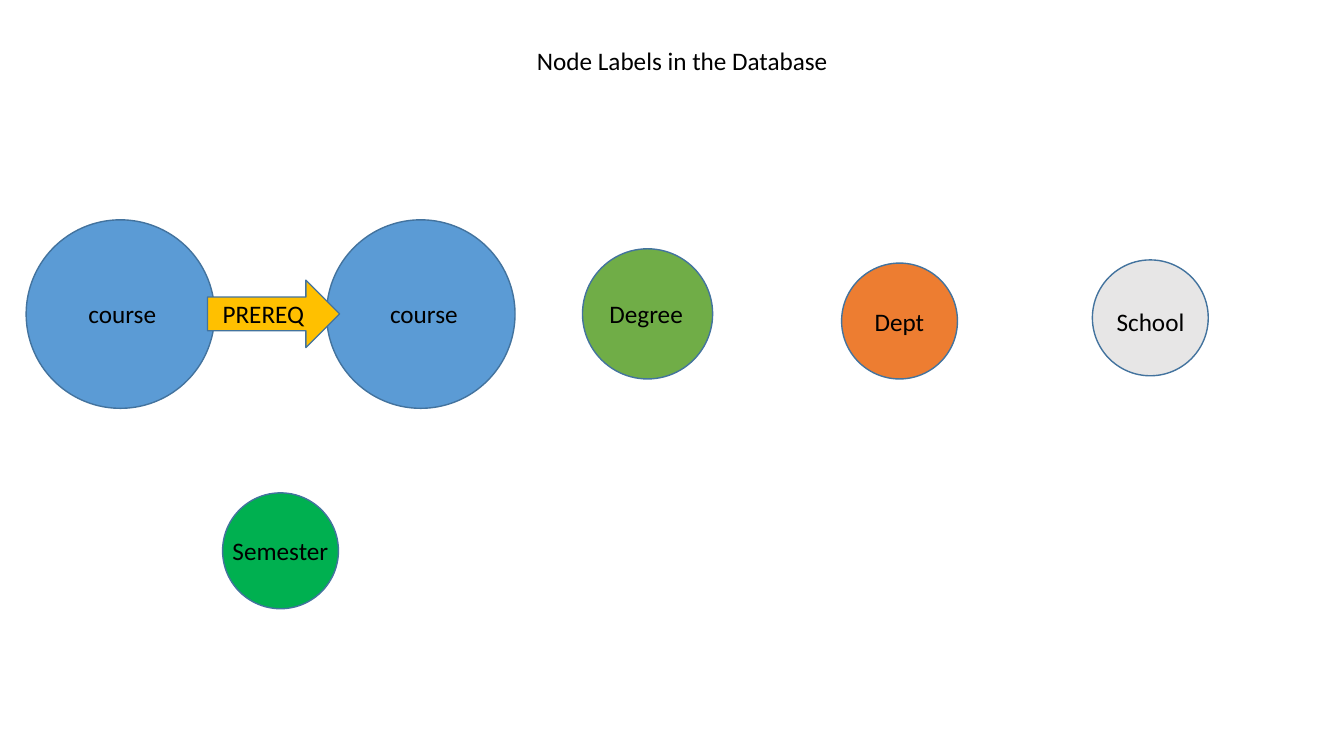
from pptx import Presentation
from pptx.dml.color import RGBColor
from pptx.enum.shapes import MSO_SHAPE
from pptx.enum.text import MSO_AUTO_SIZE, PP_ALIGN
from pptx.util import Cm, Pt

OVAL, ARROW = MSO_SHAPE.OVAL, MSO_SHAPE.RIGHT_ARROW
LEFT, CENTER = PP_ALIGN.LEFT, PP_ALIGN.CENTER
FIT = MSO_AUTO_SIZE.SHAPE_TO_FIT_TEXT

BLACK = RGBColor(0x00, 0x00, 0x00)
OUTLINE = RGBColor(0x43, 0x73, 0x9E)
BLUE = RGBColor(0x5B, 0x9B, 0xD5)
YELLOW = RGBColor(0xFF, 0xC0, 0x00)
LIGHT_GREEN = RGBColor(0x70, 0xAD, 0x47)
ORANGE = RGBColor(0xED, 0x7D, 0x31)
GRAY = RGBColor(0xE7, 0xE6, 0xE6)
GREEN = RGBColor(0x00, 0xB0, 0x50)

LABEL_HEIGHT = 1.02
COURSE, DEGREE, SMALL = 4.75, 3.28, 2.92

# name, colour, diameter, circle left and top, label left, top and width
NODES = [
    ("course", BLUE, COURSE, 0.66, 5.54, 1.98, 7.39, 2.67),
    ("course", BLUE, COURSE, 8.23, 5.54, 9.58, 7.39, 2.67),
    ("Degree", LIGHT_GREEN, DEGREE, 14.68, 6.27, 15.11, 7.39, 2.95),
    ("Dept", ORANGE, SMALL, 21.21, 6.63, 21.79, 7.59, 1.88),
    ("School", GRAY, SMALL, 27.53, 6.55, 27.89, 7.59, 2.62),
    ("Semester", GREEN, SMALL, 5.61, 12.42, 5.61, 13.36, 3.48),
]


def add_filled_shape(s, kind, left, top, width, height, color):
    sp = s.shapes.add_shape(kind, Cm(left), Cm(top), Cm(width), Cm(height))
    sp.shadow.inherit = False
    sp.fill.solid()
    sp.fill.fore_color.rgb = color
    sp.line.color.rgb = OUTLINE
    sp.line.width = Pt(1)


def add_label(s, text, left, top, width, align=LEFT):
    sp = s.shapes.add_textbox(Cm(left), Cm(top), Cm(width), Cm(LABEL_HEIGHT))
    tf = sp.text_frame
    tf.word_wrap = True
    tf.auto_size = FIT
    p = tf.paragraphs[0]
    p.text = text
    p.alignment = align
    p.font.name = "Calibri"
    p.font.size = Pt(18)
    p.font.color.rgb = BLACK


def add_node(s, name, color, diameter, left, top, label_left, label_top, label_width):
    add_filled_shape(s, OVAL, left, top, diameter, diameter, color)
    add_label(s, name, label_left, label_top, label_width)


def main():
    prs = Presentation()
    prs.slide_width, prs.slide_height = Cm(33.87), Cm(19.05)
    s = prs.slides.add_slide(prs.slide_layouts[6])
    add_label(s, "Node Labels in the Database", 10.26, 1.02, 13.87, CENTER)
    for node in NODES:
        add_node(s, *node)
    add_filled_shape(s, ARROW, 5.23, 7.06, 3.33, 1.7, YELLOW)
    add_label(s, "PREREQ", 5.36, 7.39, 2.59)
    prs.save("out.pptx")


main()
